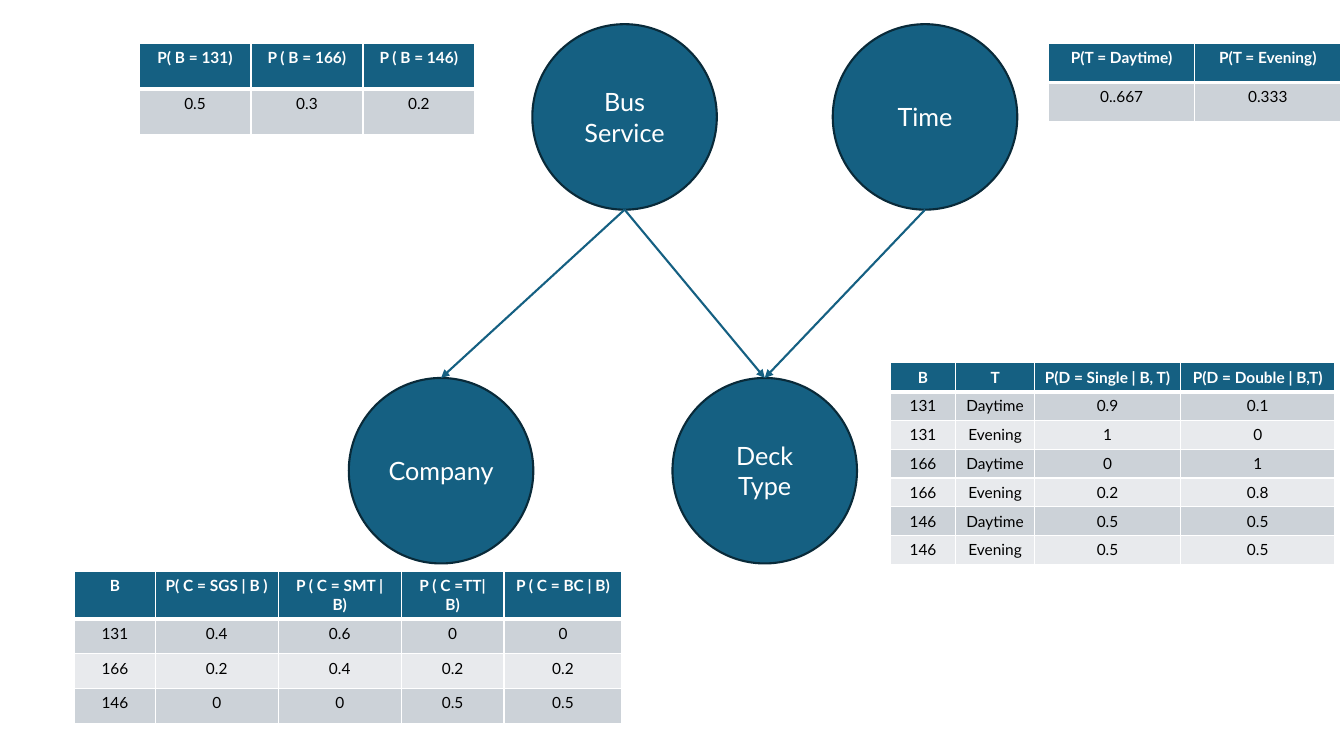
from pptx import Presentation
from pptx.dml.color import RGBColor
from pptx.enum.shapes import MSO_CONNECTOR, MSO_SHAPE
from pptx.enum.text import MSO_ANCHOR, PP_ALIGN
from pptx.oxml.ns import qn
from pptx.util import Inches, Pt
from lxml.etree import SubElement

BLUE = RGBColor(0x15, 0x60, 0x82)
NAVY = RGBColor(0x09, 0x2A, 0x39)
WHITE = RGBColor(0xFF, 0xFF, 0xFF)
BLACK = RGBColor(0, 0, 0)
BANDS = [RGBColor(0xCC, 0xD2, 0xD8), RGBColor(0xE8, 0xEA, 0xED)]
FONT = "Lato"

# Network nodes: name -> (left, top)
NODE_W, NODE_H = 1.83, 1.84
NODES = {
    "Time": (8.26, 0.24),
    "Company": (3.46, 3.75),
    "Bus Service": (5.28, 0.24),
    "Deck Type": (6.67, 3.75),
}
EDGES = [
    ("Bus Service", "Deck Type"),
    ("Time", "Deck Type"),
    ("Bus Service", "Company"),
]

# Probability tables: (left, top, column widths, height, rows)
TABLES = [
    (10.4, 0.43, [1.45, 1.45], 0.78, [
        ["P(T = Daytime)", "P(T = Evening)"],
        ["0..667", "0.333"],
    ]),
    (1.38, 0.43, [1.11, 1.11, 1.11], 0.91, [
        ["P( B = 131)", "P ( B = 166)", "P ( B = 146)"],
        ["0.5", "0.3", "0.2"],
    ]),
    (8.83, 3.6, [0.65, 0.78, 1.45, 1.53], 1.98, [
        ["B", "T", "P(D = Single | B, T)", "P(D = Double | B,T)"],
        ["131", "Daytime", "0.9", "0.1"],
        ["131", "Evening", "1", "0"],
        ["166", "Daytime", "0", "1"],
        ["166", "Evening", "0.2", "0.8"],
        ["146", "Daytime", "0.5", "0.5"],
        ["146", "Evening", "0.5", "0.5"],
    ]),
    (0.74, 5.67, [0.8, 1.22, 1.22, 1.02, 1.17], 1.38, [
        ["B", "P( C = SGS | B )", "P ( C = SMT | B)", "P ( C =TT| B)", "P ( C = BC | B)"],
        ["131", "0.4", "0.6", "0", "0"],
        ["166", "0.2", "0.4", "0.2", "0.2"],
        ["146", "0", "0", "0.5", "0.5"],
    ]),
]


def write(tf, text, size, color, bold=False):
    p = tf.paragraphs[0]
    p.alignment = PP_ALIGN.CENTER
    r = p.add_run()
    r.text = text
    r.font.name = FONT
    r.font.size = Pt(size)
    r.font.bold = bold
    r.font.color.rgb = color


def add_node(s, name, left, top):
    sp = s.shapes.add_shape(MSO_SHAPE.OVAL, Inches(left), Inches(top),
                            Inches(NODE_W), Inches(NODE_H))
    sp.shadow.inherit = False
    sp.fill.solid()
    sp.fill.fore_color.rgb = BLUE
    sp.line.color.rgb = NAVY
    sp.line.width = Pt(1.5)
    tf = sp.text_frame
    tf.word_wrap = True
    tf.vertical_anchor = MSO_ANCHOR.MIDDLE
    write(tf, name, 18, WHITE)
    return sp


def add_edge(s, parent, child):
    line = s.shapes.add_connector(
        MSO_CONNECTOR.STRAIGHT,
        parent.left + parent.width // 2, parent.top + parent.height,
        child.left + child.width // 2, child.top)
    line.end_connect(child, 0)
    line.line.color.rgb = BLUE
    line.line.width = Pt(1.5)
    SubElement(line.line._get_or_add_ln(), qn("a:tailEnd"), type="triangle")
    SubElement(line._element.spPr, qn("a:effectLst"))


def add_borders(cell, top, bottom):
    # Borders come before the fill in the cell properties
    tc_pr = cell._tc.get_or_add_tcPr()
    for side, width in (("L", 1), ("R", 1), ("T", top), ("B", bottom)):
        ln = SubElement(tc_pr, qn(f"a:ln{side}"), w=str(Pt(width)))
        fill = SubElement(ln, qn("a:solidFill"))
        SubElement(fill, qn("a:srgbClr"), val=str(WHITE))


def add_table(s, left, top, widths, height, rows):
    table = s.shapes.add_table(len(rows), len(widths), Inches(left), Inches(top),
                               Inches(sum(widths)), Inches(height)).table
    for column, width in zip(table.columns, widths):
        column.width = Inches(width)
    for i, row in enumerate(rows):
        header = i == 0
        for j, text in enumerate(row):
            cell = table.cell(i, j)
            add_borders(cell, 3 if i == 1 else 1, 3 if header else 1)
            cell.fill.solid()
            cell.fill.fore_color.rgb = BLUE if header else BANDS[(i - 1) % 2]
            write(cell.text_frame, text, 11, WHITE if header else BLACK, header)


def main():
    prs = Presentation()
    prs.slide_width, prs.slide_height = Inches(13.33), Inches(7.5)
    s = prs.slides.add_slide(prs.slide_layouts[6])

    # Nodes and the arrows between them
    nodes = {name: add_node(s, name, *at) for name, at in NODES.items()}
    for parent, child in EDGES:
        add_edge(s, nodes[parent], nodes[child])

    # Probability tables
    for table in TABLES:
        add_table(s, *table)

    prs.save("out.pptx")


if __name__ == "__main__":
    main()
